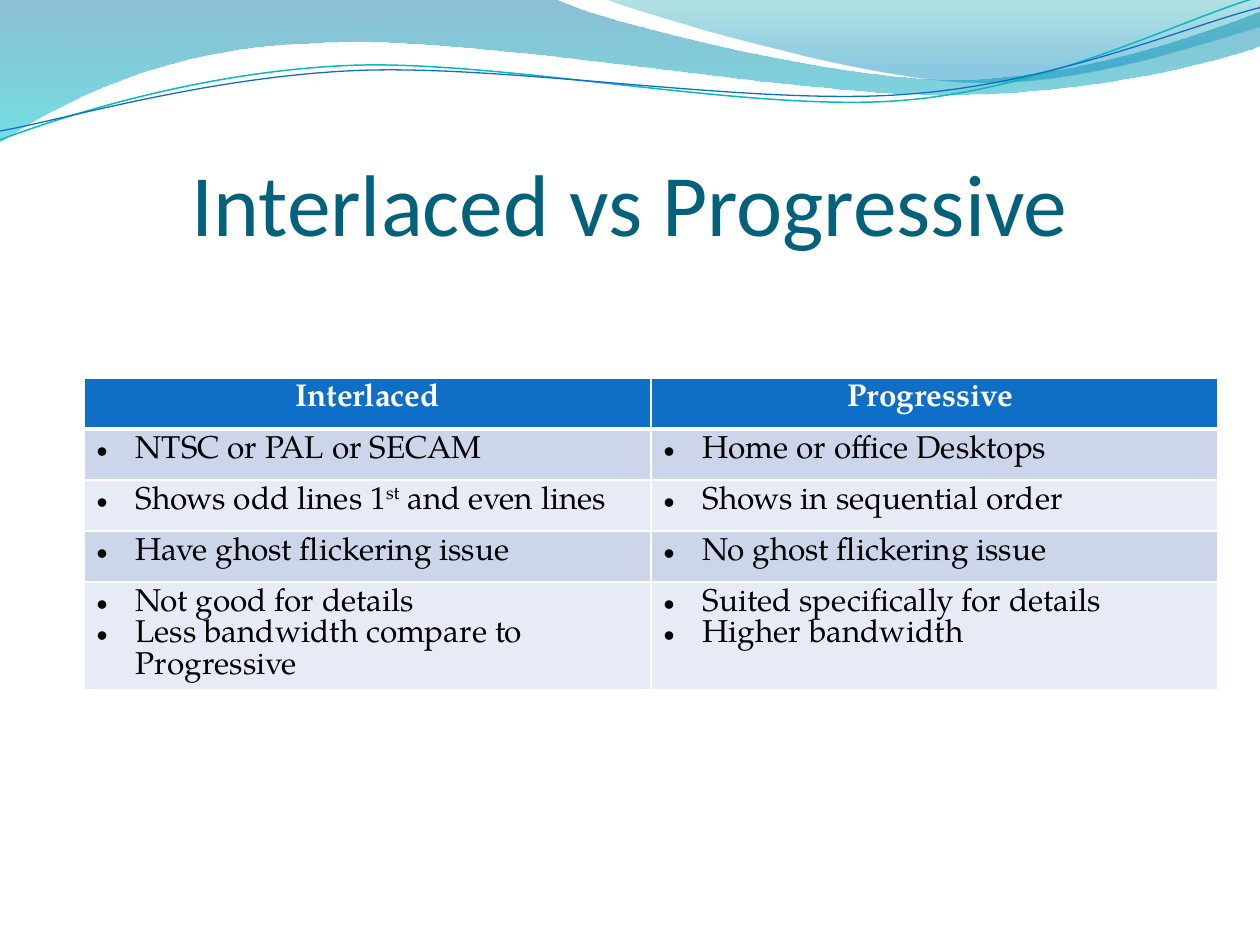
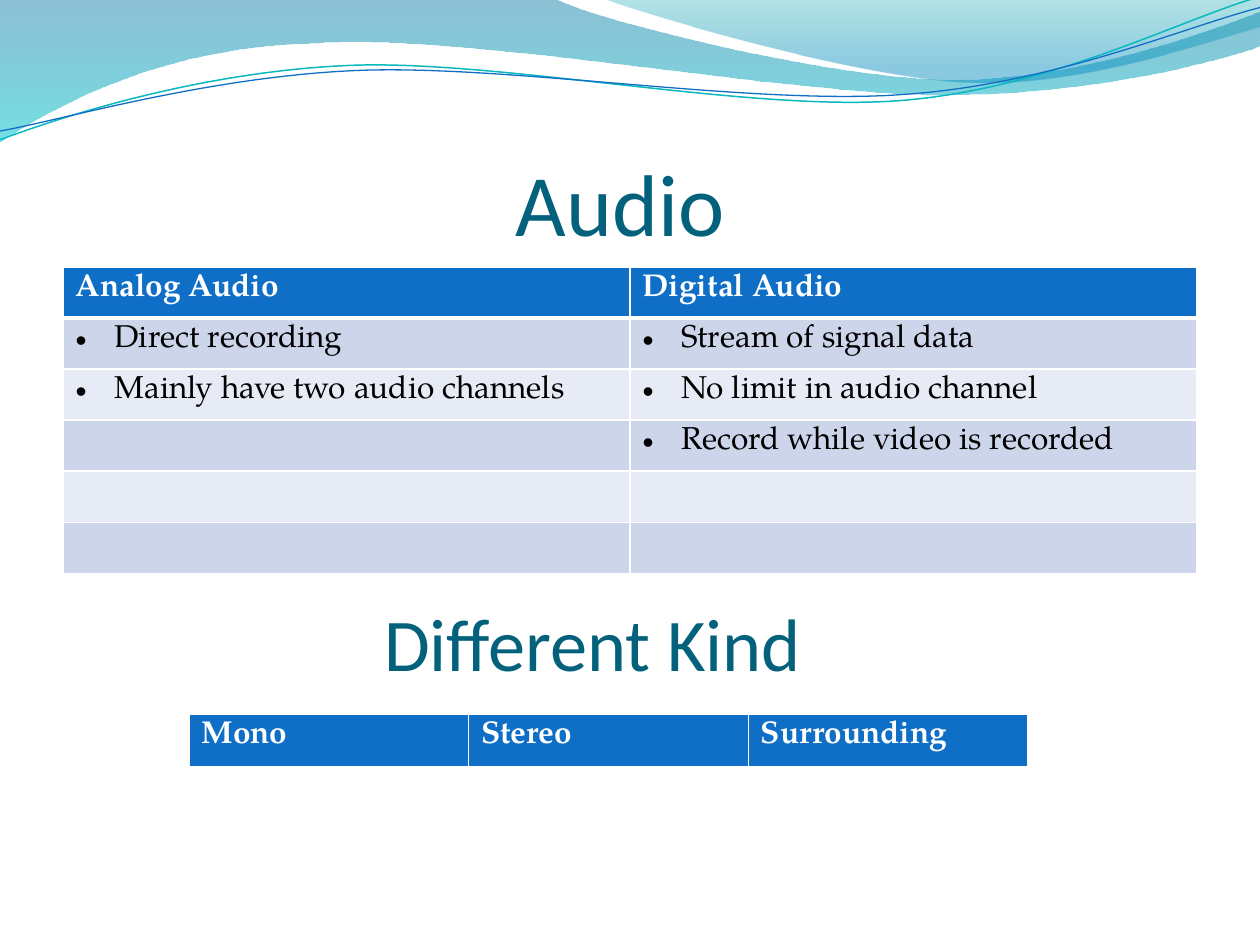
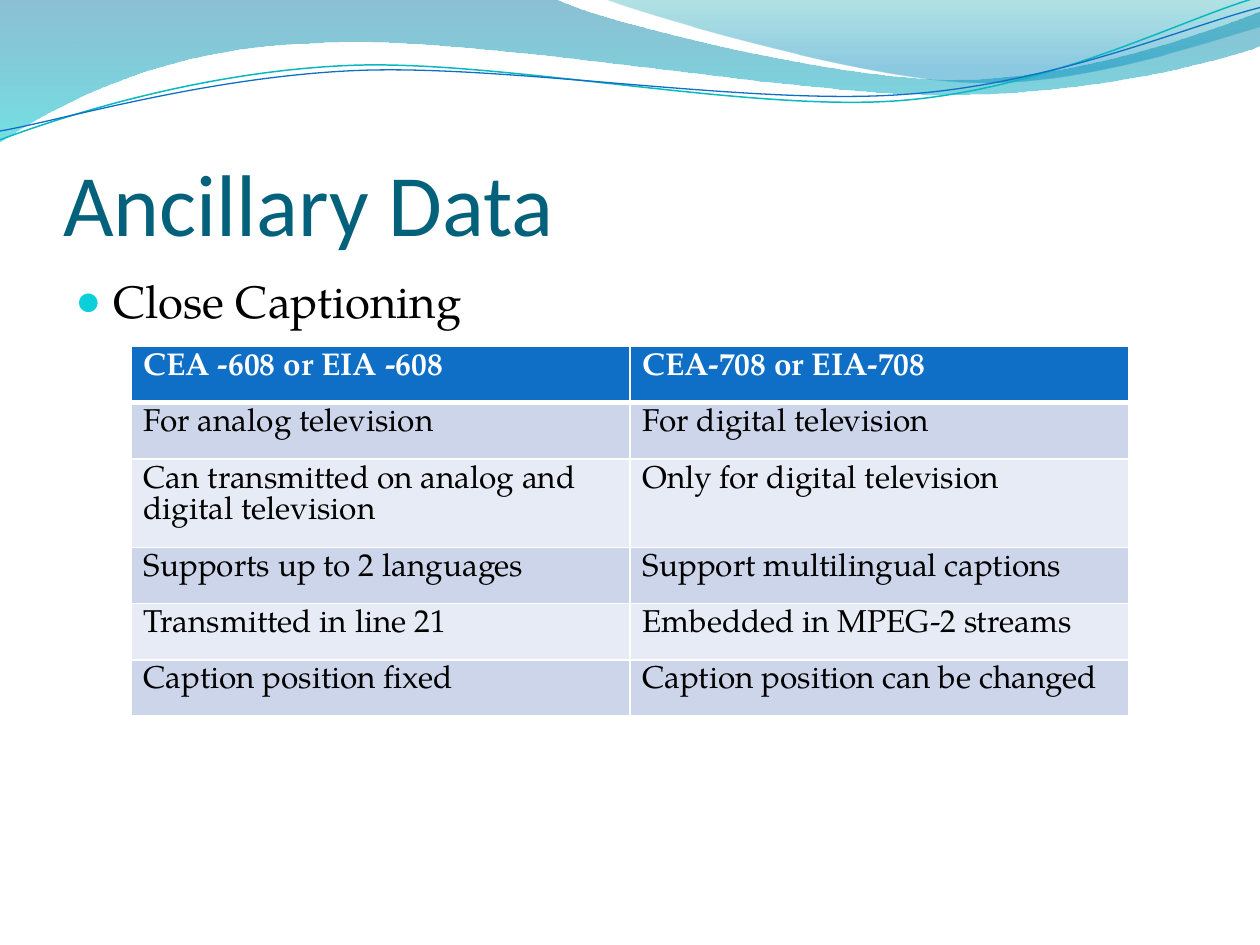
import pptx
import pptx.dml.color
import pptx.enum.text
import pptx.oxml
import pptx.oxml.ns
import pptx.util
from lxml import etree
from pptx.util import Inches

COLORS = {
    "title": "04617B",
    "header": "0F6FC6",
    "odd_row": "CCD5EA",
    "even_row": "E7EBF5",
    "white": "FFFFFF",
    "text": "000000",
    "bullet": "0BD0D9",
    "teal_line": "0AB8BF",
    "band_top": "0074A1",
    "band_bottom": "00C6CF",
    "corner_top": "00A1A9",
    "corner_bottom": "008BBF",
}
TITLE_FONT = "Calibri"
BODY_FONT = "TeX Gyre Pagella"
LEFT = pptx.enum.text.PP_ALIGN.LEFT
CENTER = pptx.enum.text.PP_ALIGN.CENTER
BOTTOM = pptx.enum.text.MSO_ANCHOR.BOTTOM
ROW_HEIGHT = 2.43 / 6
CAPTION_ROW_HEIGHT = 2.68 / 6

BAND = [
    (0, 0), (4.4, -0.01),
    (4.76, 0.17, 6.64, 0.63, 7.58, 0.63), (8.53, 0.63, 9.58, 0.26, 10, 0.09),
    (10.01, 0.36),
    (9.83, 0.44, 8.7, 0.76, 7.46, 0.75), (6.22, 0.75, 3.82, 0.28, 2.57, 0.34),
    (1.29, 0.36, 0.46, 0.83, -0.01, 1.13), (0, 0),
]
CORNER = [
    (4.79, -0.01),
    (5.09, 0.11, 6.82, 0.62, 7.69, 0.65), (8.56, 0.69, 9.61, 0.32, 10, 0.21),
    (10, 0), (4.79, -0.01),
]
TEAL_WAVE = [
    (0, 1.11),
    (0.48, 0.93, 1.58, 0.57, 2.77, 0.52), (3.95, 0.47, 5.93, 0.89, 7.13, 0.8),
    (8.33, 0.71, 9.38, 0.15, 9.98, -0.02),
]
BLUE_WAVE = [
    (0, 1.04),
    (0.47, 0.96, 1.64, 0.61, 2.83, 0.56), (4.03, 0.51, 5.97, 0.84, 7.17, 0.75),
    (8.36, 0.67, 9.41, 0.21, 10, 0.06),
]


def rgb(name):
    return pptx.dml.color.RGBColor.from_string(COLORS[name])


def add_xml(parent, tag, **attributes):
    return etree.SubElement(parent, pptx.oxml.ns.qn(tag), attributes)


def bend_segments(outline, segments):
    lines = list(outline.element.spPr.iter(pptx.oxml.ns.qn("a:lnTo")))
    for line, segment in zip(lines, segments):
        if len(segment) == 2:
            continue
        curve = etree.Element(pptx.oxml.ns.qn("a:cubicBezTo"))
        for x, y in zip(segment[::2], segment[1::2]):
            add_xml(curve, "a:pt", x=str(Inches(x) - outline.left), y=str(Inches(y) - outline.top))
        line.getparent().replace(line, curve)


def add_outline(slide, segments, close):
    points = [(Inches(segment[-2]), Inches(segment[-1])) for segment in segments]
    builder = slide.shapes.build_freeform(*points[0])
    builder.add_line_segments(points[1:], close=close)
    outline = builder.convert_to_shape()
    outline.shadow.inherit = False
    bend_segments(outline, segments[1:])
    return outline


def add_gradient_band(slide, segments, stops):
    band = add_outline(slide, segments, True)
    band.line.fill.background()
    band.fill.gradient()
    band.fill.gradient_angle = 270
    for stop, (position, color, _) in zip(band.fill.gradient_stops, stops):
        stop.position = position
        stop.color.rgb = rgb(color)
    tints = band.element.spPr.iter(pptx.oxml.ns.qn("a:srgbClr"))
    for tint, (_, _, opacity) in zip(tints, stops):
        add_xml(tint, "a:alpha", val=str(opacity * 1000))
    return band


def add_wave_line(slide, segments, color, width):
    wave = add_outline(slide, segments, False)
    wave.fill.background()
    wave.line.color.rgb = rgb(color)
    wave.line.width = pptx.util.Pt(width)
    return wave


def decorate_layout(layout, slide):
    waves = [
        add_gradient_band(slide, BAND, [(0, "band_top", 45), (1, "band_bottom", 55)]),
        add_gradient_band(slide, CORNER, [(0, "corner_top", 30), (0.8, "corner_bottom", 45)]),
        add_wave_line(slide, TEAL_WAVE, "teal_line", 0.85),
        add_wave_line(slide, BLUE_WAVE, "header", 0.75),
    ]
    for index, wave in enumerate(waves):
        wave.element.nvSpPr.cNvPr.set("id", str(100 + index))
        layout.shapes.element.insert(2 + index, wave.element)


def set_bullet(paragraph, char, indent, color=None, percent=100):
    props = paragraph._p.get_or_add_pPr()
    props.set("marL", str(Inches(indent)))
    props.set("indent", str(-Inches(indent)))
    if color:
        add_xml(add_xml(props, "a:buClr"), "a:srgbClr", val=COLORS[color])
    add_xml(props, "a:buSzPct", val=str(percent * 1000))
    add_xml(props, "a:buFont", typeface="Arial")
    add_xml(props, "a:buChar", char=char)


def write_text(frame, text, size=18, font=BODY_FONT, color="text", bold=False,
               align=None, bullet=None, space_before=None):
    """Each line is a paragraph; text between carets is superscript."""
    for index, line in enumerate(text.split("\n")):
        paragraph = frame.add_paragraph() if index else frame.paragraphs[0]
        paragraph.alignment = align
        if bullet:
            set_bullet(paragraph, **bullet)
        if space_before is not None:
            paragraph.space_before = pptx.util.Pt(space_before)
        for part, words in enumerate(line.split("^")):
            run = paragraph.add_run()
            run.text = words
            run.font.size = pptx.util.Pt(size)
            run.font.name = font
            run.font.bold = bold
            run.font.color.rgb = rgb(color)
            if part % 2:
                run._r.get_or_add_rPr().set("baseline", "30000")


def write_heading(frame, text, size, align):
    frame.word_wrap = True
    frame.vertical_anchor = BOTTOM
    frame.margin_left = frame.margin_right = frame.margin_bottom = 0
    frame.margin_top = Inches(0.05)
    write_text(frame, text, size=size, font=TITLE_FONT, color="title", align=align)


def add_titled_slide(deck, layout, text, align):
    slide = deck.slides.add_slide(layout)
    title = slide.shapes.title
    title.left, title.top = Inches(0.5), Inches(0.77)
    title.width, title.height = Inches(9), Inches(1.25)
    write_heading(title.text_frame, text, 50, align)
    return slide


def add_text_box(slide, left, top, width, height):
    box = slide.shapes.add_textbox(Inches(left), Inches(top), Inches(width), Inches(height))
    box.text_frame.word_wrap = True
    return box.text_frame


def set_borders(cell, is_header):
    props = cell._tc.get_or_add_tcPr()
    widths = {"a:lnL": 1, "a:lnR": 1}
    if is_header:
        widths["a:lnT"] = 1
    widths["a:lnB"] = 3 if is_header else 1
    for tag, width in widths.items():
        border = add_xml(props, tag, w=str(pptx.util.Pt(width)))
        add_xml(add_xml(border, "a:solidFill"), "a:srgbClr", val=COLORS["white"])


def add_comparison(slide, rows, left, top, width, height, row_height,
                   header_align=None, bullet=None):
    holder = slide.shapes.add_table(
        len(rows), len(rows[0]), Inches(left), Inches(top), Inches(width), Inches(height))
    table = holder.table
    for row_index, row in enumerate(rows):
        table.rows[row_index].height = Inches(row_height)
        is_header = row_index == 0
        for column_index, text in enumerate(row):
            cell = table.cell(row_index, column_index)
            set_borders(cell, is_header)
            cell.fill.solid()
            if is_header:
                cell.fill.fore_color.rgb = rgb("header")
                write_text(cell.text_frame, text, color="white", bold=True, align=header_align)
                continue
            cell.fill.fore_color.rgb = rgb("odd_row" if row_index % 2 else "even_row")
            if text:
                write_text(cell.text_frame, text, bullet=bullet)
    holder.height = Inches(height)


def main():
    deck = pptx.Presentation()
    deck.slide_width, deck.slide_height = Inches(10), Inches(7.5)
    layout = deck.slide_layouts.get_by_name("Title Only")
    cell_bullet = {"char": "•", "indent": 0.31}

    scanning = add_titled_slide(deck, layout, "Interlaced vs Progressive", CENTER)
    decorate_layout(layout, scanning)
    add_comparison(scanning, [
        ("Interlaced", "Progressive "),
        ("NTSC or PAL or SECAM", "Home or office Desktops"),
        ("Shows odd lines 1^st^ and even lines", "Shows in sequential order"),
        ("Have ghost flickering issue", "No ghost flickering issue"),
        ("Not good for details\nLess bandwidth compare to Progressive",
         "Suited specifically for details\nHigher bandwidth"),
    ], 2 / 3, 3, 9, 2.62, ROW_HEIGHT, header_align=CENTER, bullet=cell_bullet)

    audio = add_titled_slide(deck, layout, "Audio ", CENTER)
    add_comparison(audio, [
        ("Analog Audio", "Digital Audio"),
        ("Direct recording", "Stream of signal data"),
        ("Mainly have two audio channels", "No limit in audio channel"),
        ("", "Record while video is recorded"),
        ("", ""),
        ("", ""),
    ], 0.5, 2.12, 9, 2.43, ROW_HEIGHT, bullet=cell_bullet)
    add_comparison(audio, [("Mono", "Stereo", "Surrounding")], 1.5, 5.67, 6.66, 0.43, 0.43)
    write_heading(add_text_box(audio, 0.29, 4.83, 8.83, 0.62), "Different Kind", 42.5, CENTER)

    ancillary = add_titled_slide(deck, layout, "Ancillary Data", LEFT)
    write_text(add_text_box(ancillary, 0.5, 2.12, 9, 4.8), "Close Captioning", size=26,
               space_before=5.2,
               bullet={"char": "●", "indent": 0.3, "color": "bullet", "percent": 95})
    add_comparison(ancillary, [
        ("CEA -608 or EIA -608", "CEA-708 or EIA-708"),
        ("For analog television", "For digital television"),
        ("Can transmitted on analog and digital television", "Only for digital television"),
        ("Supports up to 2 languages", "Support multilingual captions"),
        ("Transmitted in line 21", "Embedded in MPEG-2 streams"),
        ("Caption position fixed", "Caption position can be changed"),
    ], 1.04, 2.75, 7.92, 2.94, CAPTION_ROW_HEIGHT)

    deck.save("out.pptx")


if __name__ == "__main__":
    main()
